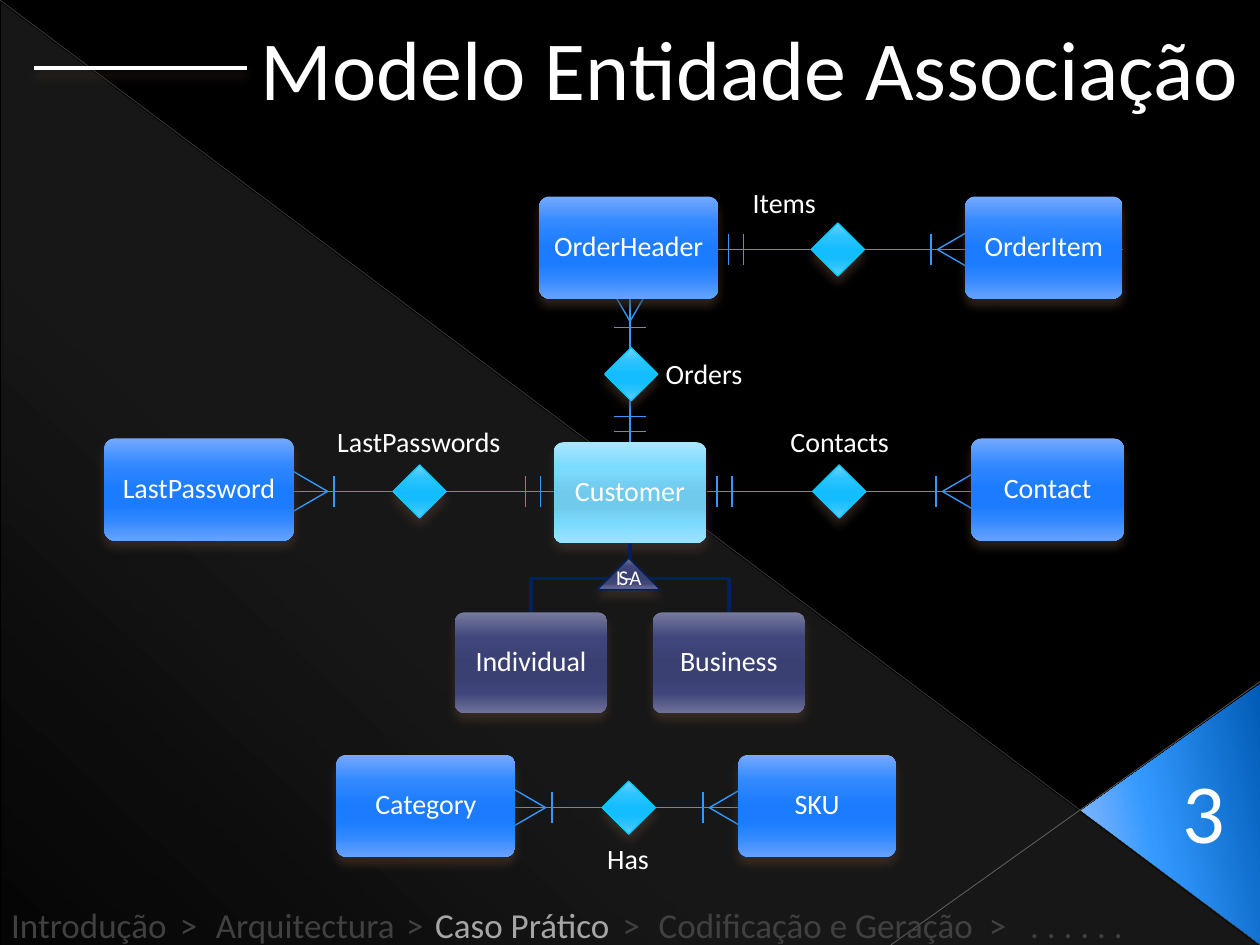
from collections import namedtuple
from math import cos, radians, sin

from lxml.etree import SubElement
from pptx import Presentation
from pptx.dml.color import RGBColor
from pptx.enum.shapes import MSO_CONNECTOR, MSO_SHAPE
from pptx.enum.text import MSO_ANCHOR, PP_ALIGN
from pptx.oxml.ns import qn
from pptx.util import Inches, Pt

Box = namedtuple("Box", "left top width height")

BLACK = RGBColor(0x00, 0x00, 0x00)
WHITE = RGBColor(0xFF, 0xFF, 0xFF)
LINK = RGBColor(0x33, 0x99, 0xFF)
NAVY = RGBColor(0x00, 0x20, 0x60)
CYAN = RGBColor(0x00, 0xCC, 0xFF)
SHADOW = RGBColor(0x4E, 0x3B, 0x30)
EDGE = RGBColor(0xB4, 0xB4, 0xB4)
DIM = RGBColor(0x40, 0x40, 0x40)
ACTIVE = RGBColor(0xA6, 0xA6, 0xA6)


def gradient(*colours, positions=(0, 25, 50, 65, 80, 100), alphas=None):
    alphas = alphas or [100] * len(colours)
    return [(place, RGBColor.from_string(colour), alpha)
            for place, colour, alpha in zip(positions, colours, alphas)]


BLUE = gradient("75A9FF", "3389FF", "1B7CFF", "1B7CFF", "3188FF", "67A1FF")
SKY = gradient("A8E7FF", "7BDBFE", "70CAEC", "70CAEC", "7ADAFD", "9BE3FF")
INDIGO = gradient("777B9D", "40467C", "3A4072", "3A4072", "40457B", "6F7297")
DIAMOND = gradient("71D2FF", "2CC4FF", "14BDFF", "14BDFF", "2AC3FF", "63CEFF")
VEIL = gradient("FFFFFF", "FFFFFF", "FFFFFF", positions=(0, 70, 100), alphas=(10, 8, 1))
CORNER = gradient("005BB5", "3399FF", "9BBFFF", positions=(0, 60, 100))


def add_colour(parent, colour, alpha):
    element = SubElement(parent, qn("a:srgbClr"), val=str(colour))
    SubElement(element, qn("a:alpha"), val=str(alpha * 1000))


def set_gradient(shape, stops, angle):
    shape.fill.gradient()
    fill = shape._element.spPr.find(qn("a:gradFill"))
    fill.set("rotWithShape", "1")
    for child in list(fill):
        fill.remove(child)
    stop_list = SubElement(fill, qn("a:gsLst"))
    for place, colour, alpha in stops:
        add_colour(SubElement(stop_list, qn("a:gs"), pos=str(place * 1000)), colour, alpha)
    SubElement(fill, qn("a:lin"), ang=str(angle * 60000), scaled="0")


def set_shadow(effects):
    shadow = SubElement(effects, qn("a:outerShdw"), blurRad=str(Pt(6)), dist=str(Pt(4)),
                        dir="5400000", algn="ctr", rotWithShape="0")
    add_colour(shadow, SHADOW, 60)


def set_line(shape, colour, width, alpha=100):
    shape.line.color.rgb = colour
    shape.line.width = Pt(width)
    if alpha < 100:
        element = shape.line._ln.find(".//" + qn("a:srgbClr"))
        SubElement(element, qn("a:alpha"), val=str(alpha * 1000))


def add_line(slide, start, end, colour=LINK, width=0.79, alpha=100, shadow=False):
    line = slide.shapes.add_connector(MSO_CONNECTOR.STRAIGHT, *map(Inches, start + end))
    set_line(line, colour, width, alpha)
    effects = SubElement(line._element.spPr, qn("a:effectLst"))
    if shadow:
        set_shadow(effects)


def add_shape(slide, kind, box, stops=None, angle=90, line=None, shadow=False, rotation=0):
    shape = slide.shapes.add_shape(kind, *map(Inches, box))
    shape.rotation = rotation
    shape.shadow.inherit = False
    if stops:
        set_gradient(shape, stops, angle)
    else:
        shape.fill.background()
    if line:
        set_line(shape, line, 0.79)
    else:
        shape.line.fill.background()
    if shadow:
        set_shadow(shape._element.spPr.find(qn("a:effectLst")))
    return shape


def write(shape, runs, size, align, frame_format, line_spacing=None):
    """Each run is (text, colour, letter spacing in points)."""
    for name, value in frame_format.items():
        setattr(shape.text_frame, name, value)
    paragraph = shape.text_frame.paragraphs[0]
    paragraph.alignment = align
    paragraph.line_spacing = line_spacing
    for text, colour, spacing in runs:
        run = paragraph.add_run()
        run.text = text
        for name, value in {"name": "Calibri", "size": Pt(size)}.items():
            setattr(run.font, name, value)
        run.font.color.rgb = colour
        if spacing:
            run._r.get_or_add_rPr().set("spc", str(int(spacing * 100)))


def add_text(slide, box, runs, size=16, align=PP_ALIGN.CENTER, wrap=True):
    text_box = slide.shapes.add_textbox(*map(Inches, box))
    write(text_box, runs, size, align, {"word_wrap": wrap})


def add_entity(slide, box, name, stops=BLUE):
    shape = add_shape(slide, MSO_SHAPE.ROUNDED_RECTANGLE, box, stops, shadow=True)
    shape.adjustments[0] = 0.1
    margins = {f"margin_{side}": Inches(0.07) for side in ("left", "right", "top", "bottom")}
    write(shape, [(name, WHITE, 0)], 16, PP_ALIGN.CENTER,
          {"word_wrap": True, "vertical_anchor": MSO_ANCHOR.MIDDLE, **margins}, 0.9)


def add_diamond(slide, x, y):
    add_shape(slide, MSO_SHAPE.FLOWCHART_DECISION, Box(x - 0.21, y - 0.21, 0.42, 0.42),
              DIAMOND, line=CYAN, shadow=True)


# Cardinality marks; (dx, dy) points away from the entity
def add_bar(slide, x, y, dx, dy):
    add_line(slide, (x - 0.125 * abs(dy), y - 0.125 * abs(dx)),
             (x + 0.125 * abs(dy), y + 0.125 * abs(dx)))


def add_one(slide, x, y, rotation):
    dx, dy = sin(radians(rotation)), -cos(radians(rotation))
    for offset in (-0.06, 0.06):
        add_bar(slide, x + offset * dx, y + offset * dy, dx, dy)


def add_many(slide, x, y, rotation):
    dx, dy = sin(radians(rotation)), -cos(radians(rotation))
    add_bar(slide, x, y, dx, dy)
    middle_x, middle_y = x - 0.235 * dx, y - 0.235 * dy
    add_shape(slide, MSO_SHAPE.ISOSCELES_TRIANGLE,
              Box(middle_x - 0.215, middle_y - 0.185, 0.43, 0.37), line=LINK, rotation=rotation)


def add_relationship(slide, box, marks, entities, diamond, label, label_at):
    """A horizontal link with its marks, entities, diamond and label."""
    axis, right = box.top + box.height / 2 + 0.015, box.left + box.width
    add_line(slide, (box.left, axis), (right, axis))
    for (add_mark, offset), rotation in zip(marks, (90, 270)):
        add_mark(slide, box.left + offset, axis, rotation)
    for name, offset, width in entities:
        add_entity(slide, Box(box.left + offset, box.top, width, box.height), name)
    add_diamond(slide, box.left + diamond, axis)
    add_text(slide, Box(box.left + label_at[0], box.top + label_at[1], 1.67, 0.37),
             [(label, WHITE, 0)])


def add_orders(slide, box):
    x, bottom = box.left + box.width / 2, box.top + box.height
    add_many(slide, x, box.top + 0.23, 180)
    add_one(slide, x, bottom - 0.145, 0)
    add_line(slide, (x, box.top - 0.1), (x, bottom + 0.1))
    add_diamond(slide, x + 0.01, box.top + 0.6)
    add_text(slide, Box(x + 0.16, box.top + 0.41, 0.83, 0.37), [("Orders", WHITE, 0)],
             align=PP_ALIGN.RIGHT)


def add_hierarchy(slide, box):
    """Customer above its two subtypes."""
    width, height = 1.21, 0.8
    middle, child_top = box.left + box.width / 2, box.top + box.height - height
    add_entity(slide, Box(middle - width / 2, box.top, width, height), "Customer", SKY)
    for name, left in (("Individual", box.left), ("Business", box.left + box.width - width)):
        points = [(middle, box.top + height), (middle, box.top + 1.08),
                  (left + width / 2, box.top + 1.08), (left + width / 2, child_top)]
        points = [tuple(map(Inches, point)) for point in points]
        builder = slide.shapes.build_freeform(*points[0])
        builder.add_line_segments(points[1:], close=False)
        branch = builder.convert_to_shape()
        branch.shadow.inherit = False
        branch.fill.background()
        set_line(branch, NAVY, 2)
        add_entity(slide, Box(left, child_top, width, height), name, INDIGO)
    triangle = add_shape(slide, MSO_SHAPE.ISOSCELES_TRIANGLE,
                         Box(middle - 0.26, box.top + 0.92, 0.5, 0.25), INDIGO, line=NAVY, shadow=True)
    margins = {f"margin_{side}": 0 for side in ("left", "right", "top", "bottom")}
    write(triangle, [("IS-A", WHITE, -1.5)], 12, PP_ALIGN.CENTER,
          {"word_wrap": False, "vertical_anchor": MSO_ANCHOR.BOTTOM, **margins})


def add_backdrop(slide, box):
    right, bottom = box.left + box.width, box.top + box.height
    slide.background.fill.solid()
    slide.background.fill.fore_color.rgb = BLACK
    add_shape(slide, MSO_SHAPE.RIGHT_TRIANGLE,
              Box(box.left + 0.01, box.top + 0.02, box.width - 0.02, box.height - 0.02), VEIL, 133)
    add_line(slide, (box.left, box.top), (right, bottom), EDGE, 0.39, 35)
    add_line(slide, (right, bottom - 2.09), (right - 2.93, bottom), EDGE, 0.47, 45)
    corner = add_shape(slide, MSO_SHAPE.ISOSCELES_TRIANGLE,
                       Box(right - 1.74, bottom - 1.75, 2.07, 1.42), CORNER, 258, rotation=270)
    corner.adjustments[0] = 0.513
    add_text(slide, Box(right - 0.71, bottom - 1.52, 0.54, 0.91), [("3", WHITE, 0)], 48,
             PP_ALIGN.LEFT, False)


def add_title(slide, box):
    add_line(slide, (box.left + 1.69, box.top + 0.46), (box.left, box.top + 0.46), WHITE, 2, shadow=True)
    add_text(slide, Box(box.left + 1.7, box.top, box.width - 1.7, box.height),
             [("Modelo Entidade Associação", WHITE, 0)], 48, PP_ALIGN.LEFT, False)


def add_breadcrumbs(slide, box):
    runs = [("Introdução", DIM, 0), (" > ", DIM, 3), ("Arquitectura", DIM, 0), (" >", DIM, 2),
            (" Caso Prático", ACTIVE, 0), (" > ", DIM, 3), ("Codificação e Geração", DIM, 0),
            (" > ", DIM, 4.5), (". . . . . .", DIM, 0)]
    add_text(slide, box, runs, 20, PP_ALIGN.JUSTIFY)


def main():
    presentation = Presentation()
    presentation.slide_width, presentation.slide_height = Inches(10), Inches(7.5)
    slide = presentation.slides.add_slide(presentation.slide_layouts[6])
    add_backdrop(slide, Box(0, 0, 10, 7.5))
    add_title(slide, Box(0.27, 0.08, 9.75, 0.91))
    add_orders(slide, Box(4.79, 2.37, 0.42, 1.14))
    add_relationship(slide, Box(0.83, 3.48, 3.57, 0.81), [(add_many, 1.82), (add_one, 3.4)],
                     [("LastPassword", 0, 1.5)], 2.5, "LastPasswords", (1.66, -0.16))
    add_relationship(slide, Box(5.61, 3.48, 3.31, 0.81), [(add_one, 0.14), (add_many, 1.82)],
                     [("Contact", 2.1, 1.21)], 1.05, "Contacts", (0.22, -0.16))
    add_relationship(slide, Box(4.28, 1.56, 4.63, 0.81), [(add_one, 1.56), (add_many, 3.11)],
                     [("OrderHeader", 0, 1.42), ("OrderItem", 3.38, 1.25)], 2.37, "Items", (1.11, -0.14))
    add_relationship(slide, Box(2.67, 5.99, 4.44, 0.81), [(add_many, 1.71), (add_many, 2.91)],
                     [("Category", 0, 1.42), ("SKU", 3.19, 1.25)], 2.32, "Has", (1.48, 0.64))
    add_hierarchy(slide, Box(3.61, 3.51, 2.78, 2.15))
    add_breadcrumbs(slide, Box(-0.01, 7.12, 9.92, 0.44))
    presentation.save("out.pptx")


if __name__ == "__main__":
    main()
